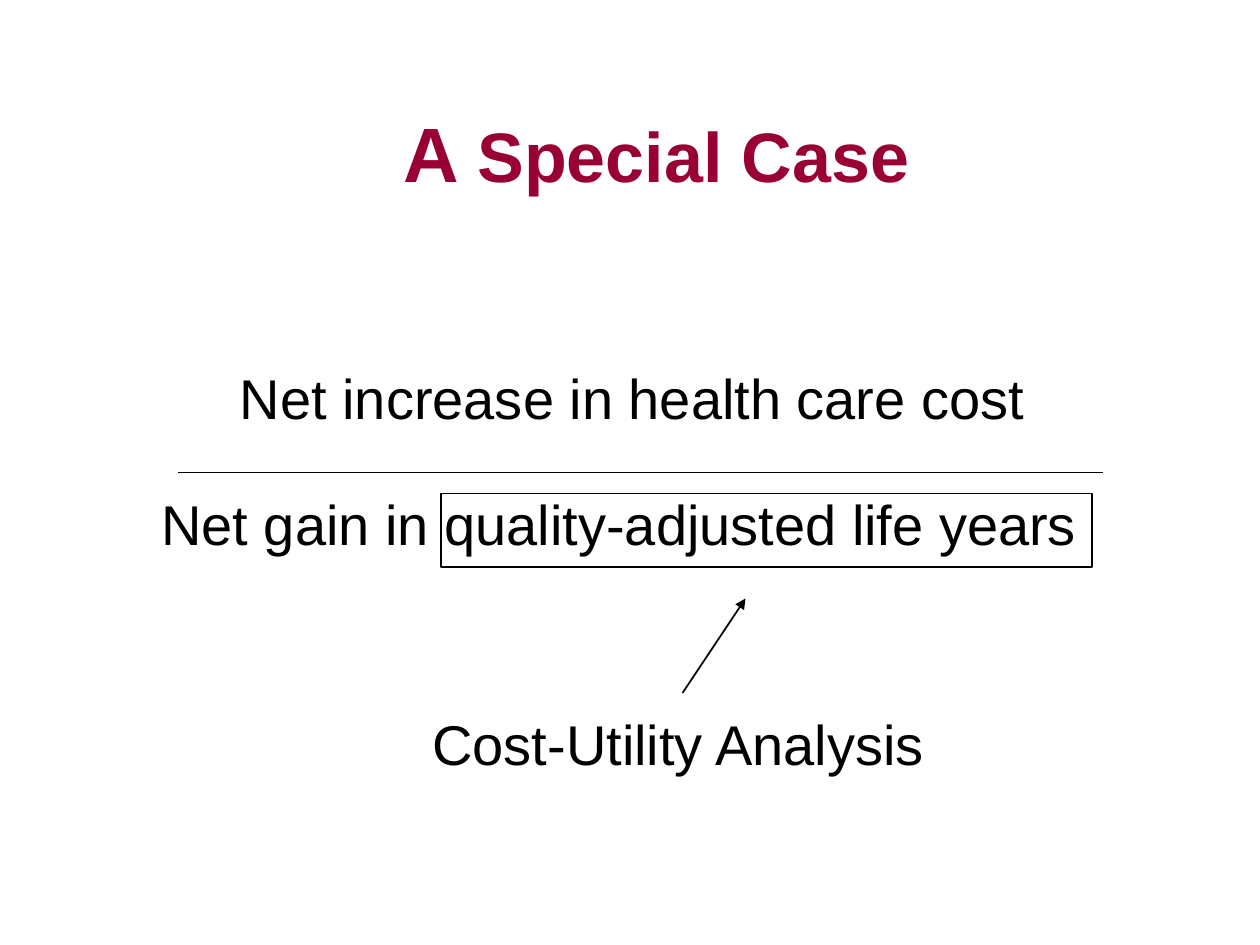
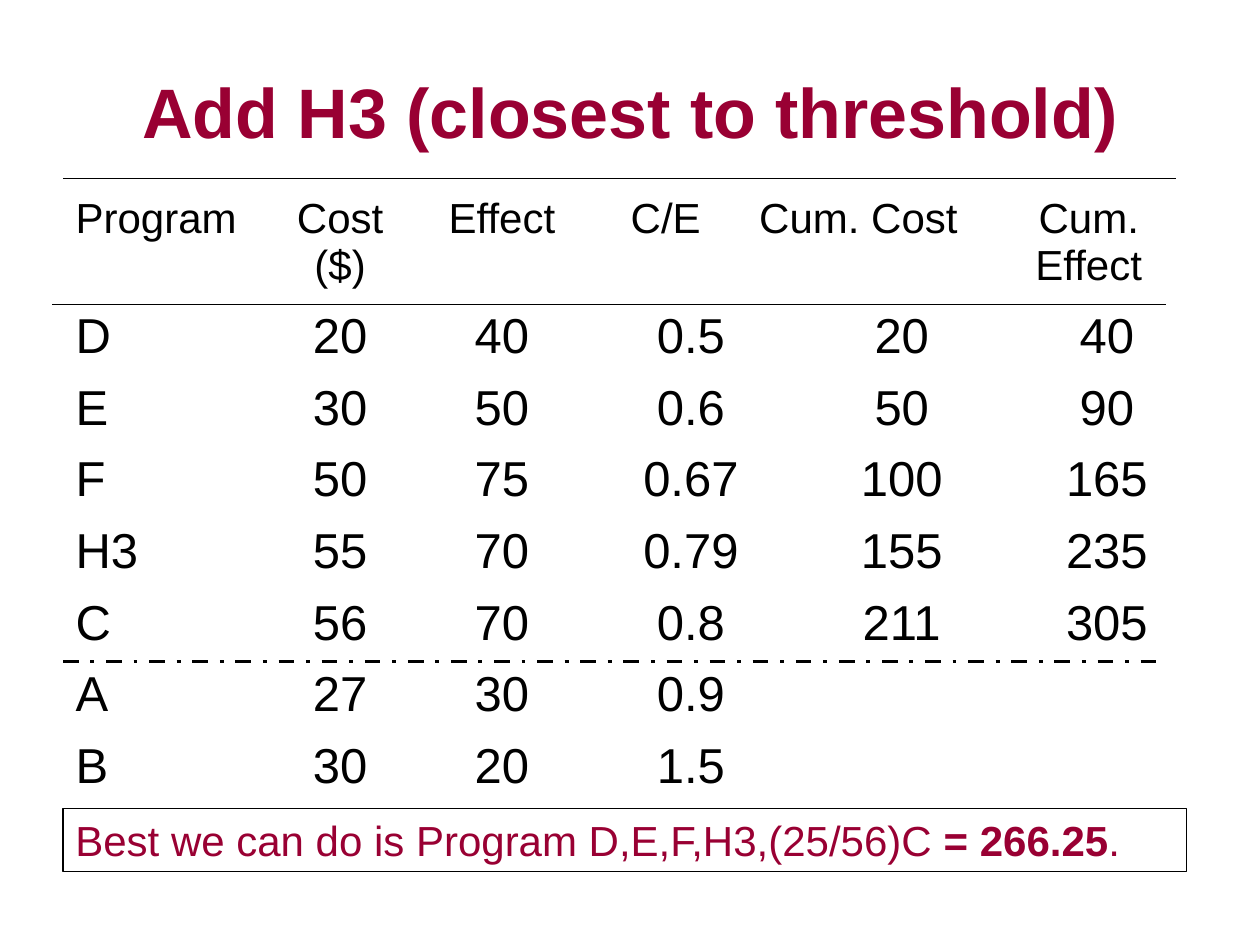
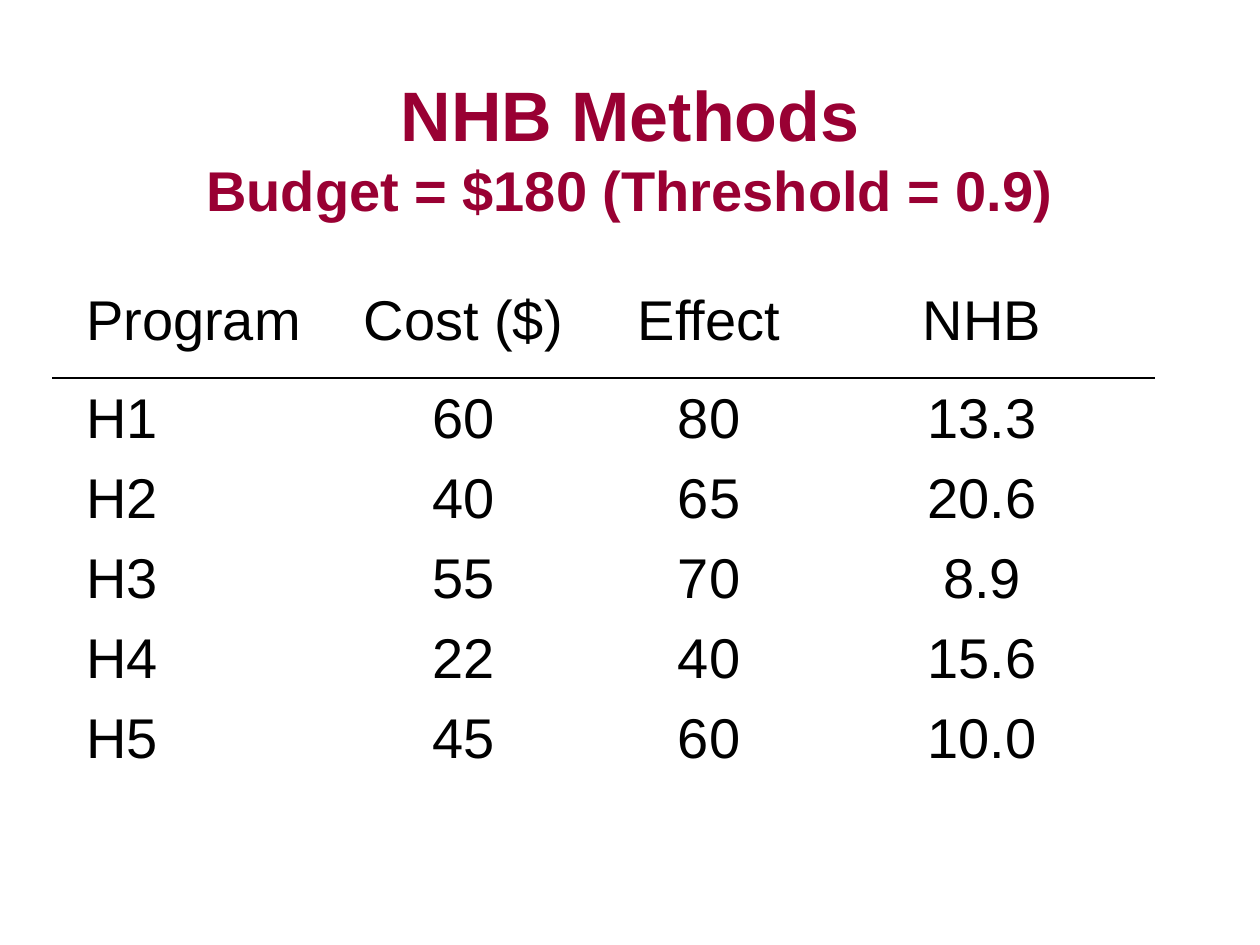
from lxml import etree
from pptx import Presentation
from pptx.dml.color import RGBColor
from pptx.enum.dml import MSO_LINE
from pptx.enum.shapes import MSO_CONNECTOR, MSO_SHAPE
from pptx.enum.text import MSO_ANCHOR, PP_ALIGN
from pptx.oxml.ns import qn
from pptx.util import Pt

LEFT, CENTER = PP_ALIGN.LEFT, PP_ALIGN.CENTER
TOP, MIDDLE = MSO_ANCHOR.TOP, MSO_ANCHOR.MIDDLE
STRAIGHT = MSO_CONNECTOR.STRAIGHT
RECTANGLE = MSO_SHAPE.RECTANGLE
DASH_DOT = MSO_LINE.DASH_DOT

# Shared style
FONT = "Arial"
BLACK = "000000"
MAROON = "990033"
TITLE_SIZE = 40
BODY_SIZE = 32

# Program table: header and body rows join different columns
PROGRAM_COLS = (113.75, 89.25, 95.75, 91.5, 28.75, 100, 20.75, 113.75)
PROGRAM_HEAD_SPANS = (1, 1, 1, 1, 2, 2)
PROGRAM_BODY_SPANS = (1, 1, 1, 2, 2, 1)
PROGRAM_ROWS = (
    ("Program", "Cost ($)", "Effect", "C/E", "Cum. Cost", "Cum. Effect"),
    ("D", "20", "40", "0.5", "20", "40"),
    ("E", "30", "50", "0.6", "50", "90"),
    ("F", "50", "75", "0.67", "100", "165"),
    ("H3", "55", "70", "0.79", "155", "235"),
    ("C", "56", "70", "0.8", "211", "305"),
    ("A", "27", "30", "0.9", "", ""),
    ("B", "30", "20", "1.5", "", ""),
)

NHB_COLS = (151.5, 142.5, 138.5, 173.5)
NHB_SPANS = (1, 1, 1, 1)
NHB_ROWS = (
    ("Program", "Cost ($)", "Effect", "NHB"),
    ("H1", "60", "80", "13.3"),
    ("H2", "40", "65", "20.6"),
    ("H3", "55", "70", "8.9"),
    ("H4", "22", "40", "15.6"),
    ("H5", "45", "60", "10.0"),
)


def rgb(value):
    return RGBColor.from_string(value)


def set_font(p, size, color=BLACK, bold=False, align=LEFT):
    p.alignment = align
    p.font.name = FONT
    p.font.size = Pt(size)
    p.font.bold = bold
    p.font.color.rgb = rgb(color)


def add_run(p, text, size=None, bold=None):
    r = p.add_run()
    r.text = text
    if size:
        r.font.size = Pt(size)
    if bold is not None:
        r.font.bold = bold


def add_text(slide, box, text="", size=BODY_SIZE, color=BLACK, bold=False,
             align=LEFT, anchor=TOP):
    """Add a wrapping text box and return its paragraph."""
    tf = slide.shapes.add_textbox(*map(Pt, box)).text_frame
    tf.word_wrap = True
    tf.vertical_anchor = anchor
    p = tf.paragraphs[0]
    set_font(p, size, color, bold, align)
    if text:
        add_run(p, text)
    return p


def add_title(slide, box, text=""):
    return add_text(slide, box, text, TITLE_SIZE, MAROON, True, CENTER, MIDDLE)


def add_line(slide, x1, y1, x2, y2, width=1, dash=None, arrow=False):
    line = slide.shapes.add_connector(STRAIGHT, *map(Pt, (x1, y1, x2, y2)))
    line.line.color.rgb = rgb(BLACK)
    line.line.width = Pt(width)
    if dash:
        line.line.dash_style = dash
    if arrow:
        ln = line.line._get_or_add_ln()
        etree.SubElement(ln, qn("a:tailEnd"), type="triangle")
    etree.SubElement(line._element.spPr, qn("a:effectLst"))


def add_frame(slide, box, width=1):
    """Add an unfilled outlined rectangle and return its paragraph."""
    sp = slide.shapes.add_shape(RECTANGLE, *map(Pt, box))
    sp.shadow.inherit = False
    sp.fill.background()
    sp.line.color.rgb = rgb(BLACK)
    sp.line.width = Pt(width)
    sp.text_frame.vertical_anchor = TOP
    return sp.text_frame.paragraphs[0]


def add_grid(slide, left, top, cols, rows, head_height, row_height,
             head_size, body_size, head_spans, body_spans):
    """Add a plain table; each row's texts fill its spans from the left."""
    heights = [head_height] + [row_height] * (len(rows) - 1)
    size = (left, top, sum(cols), sum(heights))
    table = slide.shapes.add_table(len(rows), len(cols), *map(Pt, size)).table
    table.first_row = table.horz_banding = False
    for column, width in zip(table.columns, cols):
        column.width = Pt(width)
    for row, height in zip(table.rows, heights):
        row.height = Pt(height)
        for cell in row.cells:
            cell.fill.background()
    for i, texts in enumerate(rows):
        font_size = body_size if i else head_size
        j = 0
        for text, span in zip(texts, body_spans if i else head_spans):
            cell = table.cell(i, j)
            if span > 1:
                cell.merge(table.cell(i, j + span - 1))
            p = cell.text_frame.paragraphs[0]
            set_font(p, font_size, align=CENTER if j else LEFT)
            p.space_before = Pt(font_size // 4)
            if text:
                add_run(p, text)
            j += span


def special_case(slide):
    p = add_title(slide, (60, 36, 630, 102))
    add_run(p, "A ", size=44)
    add_run(p, "Special Case")
    # Cost ratio
    add_line(slide, 102, 270, 630, 270)
    add_text(slide, (72, 204, 579, 45), "Net increase in health care cost",
             align=CENTER)
    add_text(slide, (78, 276, 552, 45),
             "Net gain in quality-adjusted life years", align=CENTER)
    # Highlighted denominator and its label
    add_frame(slide, (252, 282, 372, 42))
    add_line(slide, 390, 396, 426, 342, arrow=True)
    add_text(slide, (240, 402, 300, 46), "Cost-Utility Analysis")


def add_h3(slide):
    add_title(slide, (54, 24, 612, 78), "Add H3 (closest to threshold)")
    add_grid(slide, 36, 108, PROGRAM_COLS, PROGRAM_ROWS, 65, 41, 24, 28,
             PROGRAM_HEAD_SPANS, PROGRAM_BODY_SPANS)
    # Header rules and budget cut-off
    add_line(slide, 30, 174, 666, 174)
    add_line(slide, 36, 102, 672, 102)
    add_line(slide, 36, 378, 666, 378, 2.25, DASH_DOT)
    # Conclusion
    p = add_frame(slide, (36, 462, 642, 36), 0.75)
    set_font(p, 24, MAROON)
    add_run(p, "Best we can do is Program D,E,F,H3,(25/56)C ")
    add_run(p, "= 266.25", bold=True)
    add_run(p, ".")


def nhb_methods(slide):
    p = add_title(slide, (30, 36, 660, 96))
    add_run(p, "NHB Methods")
    p.add_line_break()
    add_run(p, "Budget = $180 (Threshold = 0.9)", size=32)
    add_grid(slide, 42, 162, NHB_COLS, NHB_ROWS, 56, 45.75, BODY_SIZE,
             BODY_SIZE, NHB_SPANS, NHB_SPANS)
    add_line(slide, 30, 216, 660, 216)


def main():
    prs = Presentation()
    prs.slide_width, prs.slide_height = Pt(720), Pt(540)
    blank = prs.slide_layouts[6]
    for build in (special_case, add_h3, nhb_methods):
        build(prs.slides.add_slide(blank))
    prs.save("out.pptx")


if __name__ == "__main__":
    main()
